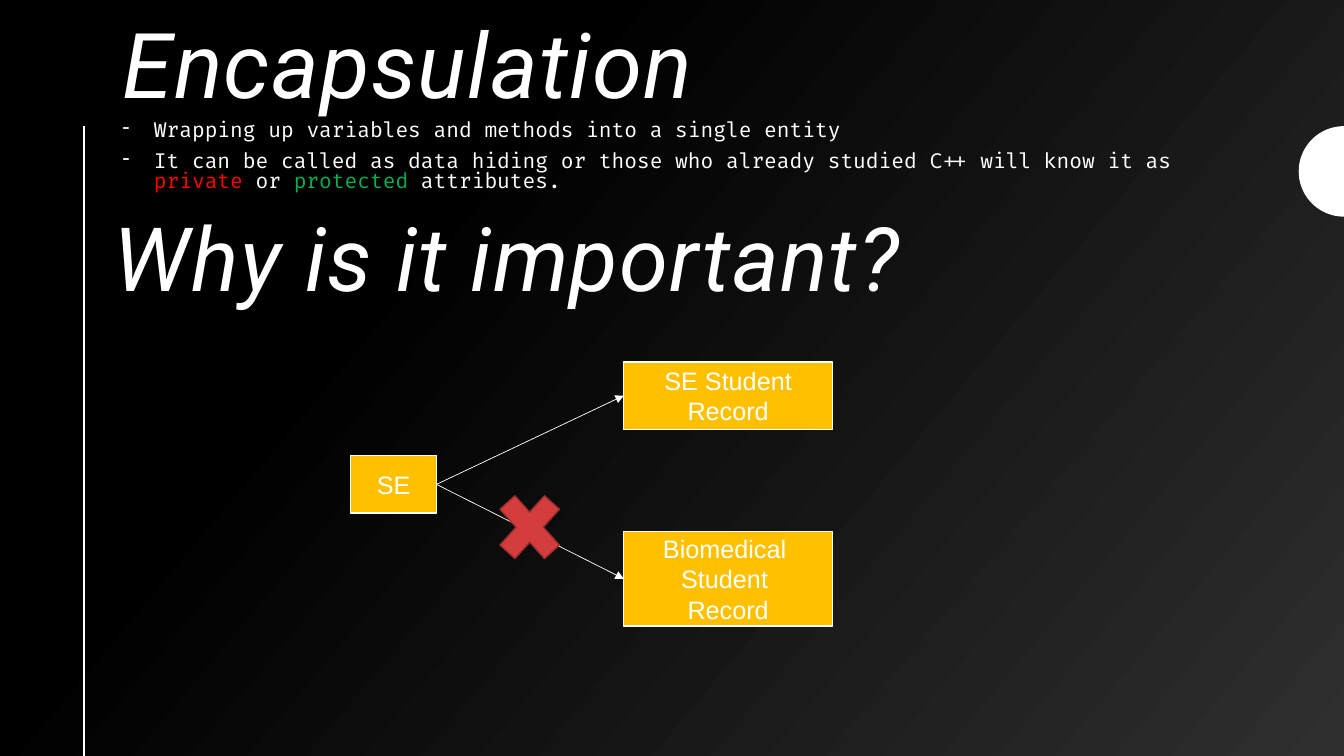
from math import cos, pi, sin
from lxml.etree import SubElement
from pptx import Presentation
from pptx.dml.color import RGBColor as RGB
from pptx.enum.shapes import MSO_CONNECTOR as LINE, MSO_SHAPE as SHAPE
from pptx.enum.text import MSO_ANCHOR as ANCHOR, PP_ALIGN as ALIGN
from pptx.oxml.ns import qn
from pptx.util import Cm, Pt

# Content
COLORS = {"black": "000000", "grey": "2F2F2F", "white": "FFFFFF", "amber": "FFC000",
          "red": "FF0000", "green": "00B050", "cross": "D33D3E", "edge": "9C2D2E"}
WIDTH, HEIGHT = 33.87, 19.05
TITLE = ("Encapsulation", 64.8, (2.84, 0.28, 25.15, 2.9))
WHY = ("Why is it important?", 63.4, (2.62, 5.18, 25.15, 2.9))
POINTS = [
    [("Wrapping up variables and methods into a single entity", "white")],
    [("It can be called as data hiding or those who already studied C++ "
      "will know it as ", "white"),
     ("private", "red"), (" or ", "white"), ("protected", "green"),
     (" attributes.", "white")],
]
POINTS_AT = (2.84, 2.95, 28.42, 2.9)
SOURCE = ("SE", (8.84, 11.48, 2.16, 1.45))
RECORDS = [("SE Student Record", (15.72, 9.12, 5.26, 1.7)),
           ("Biomedical \nStudent \nRecord", (15.72, 13.39, 5.26, 2.39))]
CROSS_AT = (12.27, 12.09, 2.16, 2.39)
RULE_X, RULE_TOP = 2.11, 3.18
DISC_Y, RADIUS, STEPS = 4.32, 1.14, 48


def rgb(name):
    return RGB.from_string(COLORS[name])


def cms(box):
    return [Cm(v) for v in box]


def style(run, face, size, color="white"):
    font = run.font
    font.name, font.size, font.color.rgb = face, Pt(size), rgb(color)


def heading(shape, text, size):
    frame = shape.text_frame
    frame.text = text
    frame.word_wrap = True
    frame.vertical_anchor = ANCHOR.MIDDLE
    para = frame.paragraphs[0]
    para.alignment, para.line_spacing = ALIGN.LEFT, 0.9
    run = para.runs[0]
    style(run, "Roboto", size)
    run.font.italic = True
    run._r.get_or_add_rPr().set("spc", "100")


def preset(kind, box, fill, edge):
    shape = shapes.add_shape(kind, *cms(box))
    shape.shadow.inherit = False
    shape.fill.solid()
    shape.fill.fore_color.rgb = rgb(fill)
    shape.line.color.rgb, shape.line.width = rgb(edge), Pt(1)
    return shape


def label(text, box):
    shape = preset(SHAPE.RECTANGLE, box, "amber", "white")
    frame = shape.text_frame
    frame.text = text
    frame.word_wrap = True
    frame.vertical_anchor = ANCHOR.MIDDLE
    for para in frame.paragraphs:
        para.alignment = ALIGN.CENTER
        style(para.runs[0], "Arial", 18)
    return shape


def stroke(ends, width):
    line = shapes.add_connector(LINE.STRAIGHT, *cms(ends))
    line.line.color.rgb, line.line.width = rgb("white"), Pt(width)
    SubElement(line._element.spPr, qn("a:effectLst"))
    return line


# Slide and background
deck = Presentation()
deck.slide_width, deck.slide_height = Cm(WIDTH), Cm(HEIGHT)
slide = deck.slides.add_slide(deck.slide_layouts[5])
shapes = slide.shapes
fill = slide.background.fill
fill.gradient()
fill.gradient_angle = 320
for stop, (spot, name) in zip(fill.gradient_stops, [(0.3, "black"), (1, "grey")]):
    stop.position, stop.color.rgb = spot, rgb(name)

# Headings
text, size, box = TITLE
title = shapes.title
title.left, title.top, title.width, title.height = cms(box)
heading(title, text, size)
text, size, box = WHY
heading(shapes.add_textbox(*cms(box)), text, size)

# Dashed points
frame = shapes.add_textbox(*cms(POINTS_AT)).text_frame
frame.word_wrap = True
for i, parts in enumerate(POINTS):
    para = frame.add_paragraph() if i else frame.paragraphs[0]
    props = para._p.get_or_add_pPr()
    props.set("marL", str(Cm(0.79)))
    props.set("indent", str(-Cm(0.79)))
    SubElement(props, qn("a:buChar"), char="-")
    para.line_spacing, para.space_after = 0.8, Pt(4)
    para.space_before = Pt(4 if i else 0)
    for text, color in parts:
        run = para.add_run()
        run.text = text
        style(run, "Fira Code", 14.8, color)

# Side rule and half disc
stroke((RULE_X, RULE_TOP, RULE_X, HEIGHT), 1.5)
arc = [(Cm(WIDTH - RADIUS * sin(pi * k / STEPS)),
        Cm(DISC_Y - RADIUS * cos(pi * k / STEPS))) for k in range(STEPS + 1)]
path = shapes.build_freeform(*arc[0])
path.add_line_segments(arc[1:], close=True)
disc = path.convert_to_shape()
disc.shadow.inherit = False
disc.fill.solid()
disc.fill.fore_color.rgb = rgb("white")
disc.line.fill.background()

# Access diagram
source = label(*SOURCE)
for text, box in RECORDS:
    record = label(text, box)
    arrow = stroke((0, 0, 1, 1), 0.5)
    arrow.begin_connect(source, 3)
    arrow.end_connect(record, 1)
    SubElement(arrow.line._get_or_add_ln(), qn("a:tailEnd"), type="triangle")
preset(SHAPE.MATH_MULTIPLY, CROSS_AT, "cross", "edge")

deck.save("out.pptx")
